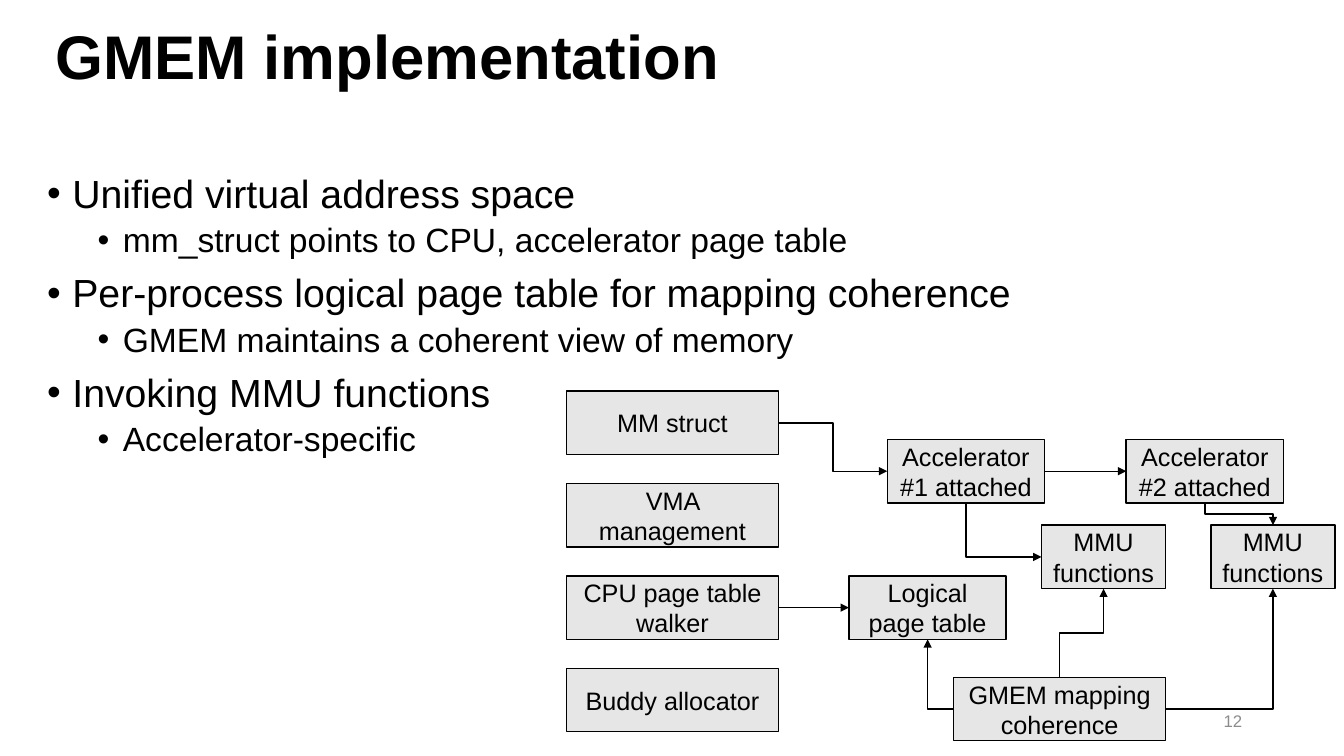
import dataclasses
import pptx
import pptx.util
import pptx.dml.color
import pptx.enum.shapes
import pptx.enum.text
import pptx.oxml
import pptx.oxml.ns

Inches = pptx.util.Inches
Pt = pptx.util.Pt
qn = pptx.oxml.ns.qn
Align = pptx.enum.text.PP_ALIGN
Anchor = pptx.enum.text.MSO_ANCHOR
Link = pptx.enum.shapes.MSO_CONNECTOR
TOP, LEFT, BOTTOM, RIGHT = range(4)


@dataclasses.dataclass(frozen=True)
class Theme:
    font: str = "Arial"
    ink: str = "000000"
    fill: str = "E7E6E6"
    faint: str = "8C8C8C"
    title: int = 44
    levels: tuple = (28, 24)
    label: int = 18
    number: int = 12
    line: int = 1


THEME = Theme()
TURNS = {TOP: (90, "HV"), LEFT: (180, ""), BOTTOM: (270, "H"), RIGHT: (0, "")}


def color(code):
    return pptx.dml.color.RGBColor.from_string(code)


def add_run(para, text, size, ink=THEME.ink, bold=False):
    run = para.add_run()
    run.text = text
    run.font.name = THEME.font
    run.font.size = Pt(size)
    run.font.bold = bold
    run.font.color.rgb = color(ink)


def add_text(slide, box, anchor):
    frame = slide.shapes.add_textbox(*map(Inches, box)).text_frame
    frame.word_wrap = True
    frame.vertical_anchor = anchor
    return frame


def add_title(slide, box, text):
    para = add_text(slide, box, Anchor.MIDDLE).paragraphs[0]
    para.line_spacing = 0.9
    add_run(para, text, THEME.title, bold=True)


def add_list(slide, box, items):
    frame = add_text(slide, box, Anchor.TOP)
    for index, (level, text) in enumerate(items):
        para = frame.paragraphs[0] if index == 0 else frame.add_paragraph()
        para.level = level
        para.line_spacing = 0.9
        para.space_before = Pt((10, 5)[level] if index else 0)
        props = para._p.get_or_add_pPr()
        props.set("marL", str(Inches(0.25 + level * 0.5)))
        props.set("indent", str(Inches(-0.25)))
        for tag, key, value in (("buFont", "typeface", THEME.font), ("buChar", "char", "•")):
            props.append(props.makeelement(qn("a:" + tag), {key: value}))
        add_run(para, text, THEME.levels[level])


def add_node(slide, box, lines):
    node = slide.shapes.add_shape(
        pptx.enum.shapes.MSO_SHAPE.RECTANGLE, *map(Inches, box))
    node.shadow.inherit = False
    node.fill.solid()
    node.fill.fore_color.rgb = color(THEME.fill)
    node.line.color.rgb = color(THEME.ink)
    node.line.width = Pt(THEME.line)
    frame = node.text_frame
    frame.word_wrap = True
    frame.vertical_anchor = Anchor.MIDDLE
    for index, text in enumerate(lines):
        para = frame.paragraphs[0] if index == 0 else frame.add_paragraph()
        para.alignment = Align.CENTER
        add_run(para, text, THEME.label)
    return node


def find_site(node, side):
    x = {LEFT: 0, RIGHT: node.width}.get(side, node.width // 2)
    y = {TOP: 0, BOTTOM: node.height}.get(side, node.height // 2)
    return node.left + x, node.top + y


def add_link(slide, start, side, end, goal):
    x1, y1 = find_site(start, side)
    x2, y2 = find_site(end, goal)
    flat = y1 == y2
    kind = Link.STRAIGHT if flat else Link.ELBOW
    link = slide.shapes.add_connector(kind, x1, y1, x2, y2)
    link.begin_connect(start, side)
    link.end_connect(end, goal)
    props = link._element.spPr
    if not flat:
        bend_link(props, (x1, y1), (x2, y2), side, goal)
    link.line.color.rgb = color(THEME.ink)
    link.line.width = Pt(THEME.line)
    stroke = props.find(qn("a:ln"))
    stroke.append(stroke.makeelement(qn("a:tailEnd"), {"type": "triangle"}))
    props.append(props.makeelement(qn("a:effectLst"), {}))


def bend_link(props, first, last, side, goal):
    wide, high = abs(last[0] - first[0]), abs(last[1] - first[1])
    mid_x, mid_y = (first[0] + last[0]) // 2, (first[1] + last[1]) // 2
    turn, flips = TURNS[side]
    if side == RIGHT and last[1] < first[1]:
        flips = "V"
    if side in (TOP, BOTTOM):
        wide, high = high, wide
    frame = props.find(qn("a:xfrm"))
    for key in ("flipH", "flipV"):
        frame.attrib.pop(key, None)
    for flip in flips:
        frame.set("flip" + flip, "1")
    if turn:
        frame.set("rot", str(turn * 60000))
    place = frame.find(qn("a:off"))
    place.set("x", str(mid_x - wide // 2))
    place.set("y", str(mid_y - high // 2))
    size = frame.find(qn("a:ext"))
    size.set("cx", str(wide))
    size.set("cy", str(high))
    bends = 3 if side % 2 == goal % 2 else 2
    props.find(qn("a:prstGeom")).set("prst", f"bentConnector{bends}")


def add_chart_flow(slide, box):
    left, top, width, height = box
    tall = 0.63
    wide, mid, slim = 2.1, 1.56, 1.23
    step = (height - 0.09 - tall) / 3

    def put(x, y, span, *lines):
        return add_node(slide, (left + x, top + y, span, tall), lines)

    stack = (("MM struct",), ("VMA management",),
             ("CPU page table", "walker"), ("Buddy allocator",))
    struct, _, walker, _ = [
        put(0, row * step, wide, *lines) for row, lines in enumerate(stack)]
    one, two = [
        put(x, 0.48, mid, f"Accelerator #{n} attached")
        for n, x in enumerate((3.18, 5.55), 1)]
    near, far = [
        put(x, 1.33, slim, "MMU functions") for x in (4.71, width - slim)]
    table = put(2.8, 2 * step, mid, "Logical page table")
    sync = put(3.84, height - tall, wide, "GMEM mapping coherence")
    for route in (
        (struct, RIGHT, one, LEFT),
        (one, RIGHT, two, LEFT),
        (walker, RIGHT, table, LEFT),
        (one, BOTTOM, near, LEFT),
        (two, BOTTOM, far, TOP),
        (sync, TOP, near, BOTTOM),
        (sync, RIGHT, far, BOTTOM),
        (sync, LEFT, table, BOTTOM),
    ):
        add_link(slide, *route)


def add_number(slide, box, text):
    para = add_text(slide, box, Anchor.MIDDLE).paragraphs[0]
    para.alignment = Align.RIGHT
    add_run(para, text, THEME.number, THEME.faint)


def main():
    deck = pptx.Presentation()
    deck.slide_width, deck.slide_height = Inches(13.33), Inches(7.5)
    slide = deck.slides.add_slide(deck.slide_layouts[6])
    add_title(slide, (0.45, 0, 11.5, 1.18), "GMEM implementation")
    add_list(slide, (0.37, 1.68, 11.5, 4.76), (
        (0, "Unified virtual address space"),
        (1, "mm_struct points to CPU, accelerator page table"),
        (0, "Per-process logical page table for mapping coherence"),
        (1, "GMEM maintains a coherent view of memory"),
        (0, "Invoking MMU functions"),
        (1, "Accelerator-specific"),
    ))
    add_chart_flow(slide, (5.62, 3.88, 7.62, 3.47))
    add_number(slide, (9.42, 6.95, 3, 0.4), "12")
    deck.save("out.pptx")


if __name__ == "__main__":
    main()
